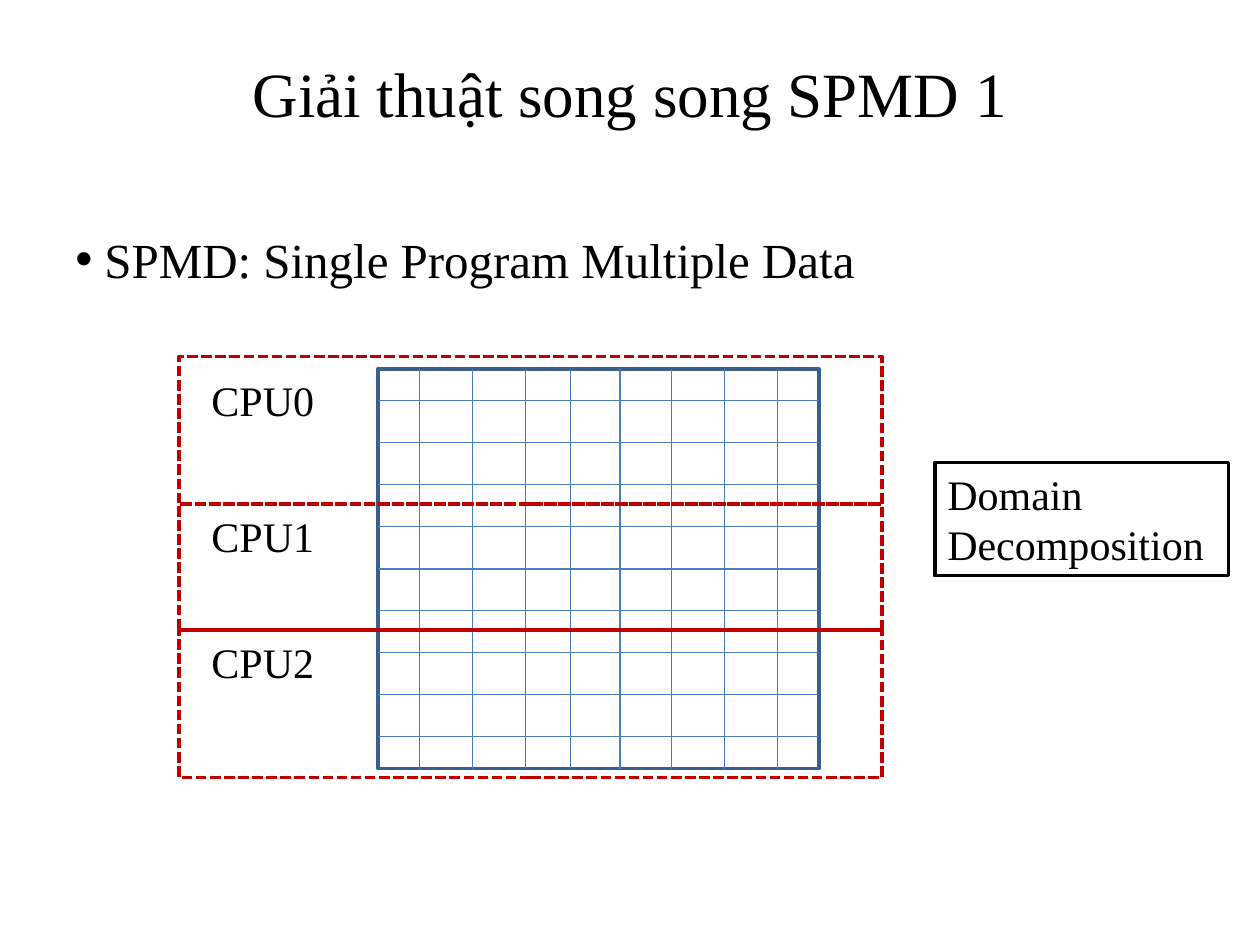
from lxml.etree import SubElement
from pptx import Presentation
from pptx.dml.color import RGBColor
from pptx.enum.dml import MSO_LINE
from pptx.enum.shapes import MSO_CONNECTOR, MSO_SHAPE
from pptx.enum.text import MSO_ANCHOR, PP_ALIGN
from pptx.oxml.ns import qn
from pptx.util import Inches, Pt

BLACK = RGBColor(0x00, 0x00, 0x00)
RED = RGBColor(0xC0, 0x00, 0x00)
BLUE = RGBColor(0x4A, 0x7E, 0xBB)
NAVY = RGBColor(0x3A, 0x5F, 0x8B)
FONT = "Times New Roman"

# Grid frame and its inner lines
LEFT, TOP, WIDE, HIGH = 3, 2.93, 3.5, 3.17
ROWS = [3.18 + i / 3 for i in range(9)]
COLS = [3.33, 3.75, 4.17, 4.53, 4.92, 5.33, 5.75, 6.17]

# Bands: name, top, height
BANDS = [("CPU0", 2.83, 1.17), ("CPU1", 4, 1), ("CPU2", 5, 1.17)]


def add_box(slide, x, y, w, h, color, dash=None):
    box = slide.shapes.add_shape(
        MSO_SHAPE.RECTANGLE, Inches(x), Inches(y), Inches(w), Inches(h))
    box.shadow.inherit = False
    box.fill.background()
    box.line.color.rgb = color
    box.line.width = Pt(2)
    if dash:
        box.line.dash_style = dash
    return box


def add_line(slide, x1, y1, x2, y2):
    line = slide.shapes.add_connector(
        MSO_CONNECTOR.STRAIGHT, Inches(x1), Inches(y1), Inches(x2), Inches(y2))
    line.line.color.rgb = BLUE
    line.line.width = Pt(0.75)
    SubElement(line._element.spPr, qn("a:effectLst"))
    return line


def set_text(shape, text, size=24, align=PP_ALIGN.LEFT,
             anchor=MSO_ANCHOR.TOP, top=0.05, bullet=False):
    frame = shape.text_frame
    frame.word_wrap = True
    frame.vertical_anchor = anchor
    frame.margin_top = Inches(top)
    frame.text = text
    for para in frame.paragraphs:
        para.alignment = align
        font = para.runs[0].font
        font.name, font.size = FONT, Pt(size)
        font.color.rgb = BLACK
        if bullet:
            props = para._p.get_or_add_pPr()
            props.set("marL", str(Inches(0.23)))
            props.set("indent", str(-Inches(0.23)))
            SubElement(props, qn("a:buFont"), typeface="Arial")
            SubElement(props, qn("a:buChar"), char="•")


def add_text(slide, text, x, y, w, h, **style):
    box = slide.shapes.add_textbox(Inches(x), Inches(y), Inches(w), Inches(h))
    set_text(box, text, **style)


def add_grid(slide):
    frame = add_box(slide, LEFT, TOP, WIDE, HIGH, NAVY)
    for i, y in enumerate(ROWS):
        line = add_line(slide, LEFT, y, LEFT + WIDE, y)
        if i == len(ROWS) // 2:  # the middle row meets the side centres
            line.begin_connect(frame, 1)
            line.end_connect(frame, 3)
    for x in COLS:
        add_line(slide, x, TOP, x, TOP + HIGH)


def main():
    deck = Presentation()
    deck.slide_width, deck.slide_height = Inches(10), Inches(7.5)
    slide = deck.slides.add_slide(deck.slide_layouts[6])

    # Heading and bullet
    add_text(slide, "SPMD: Single Program Multiple Data", 0.5, 1.75, 9, 4.95,
             size=28, top=0.07, bullet=True)
    add_text(slide, "Giải thuật song song SPMD 1", 0.5, 0.17, 9, 1.08,
             size=36, align=PP_ALIGN.CENTER, anchor=MSO_ANCHOR.MIDDLE, top=0.1)

    # Data grid, split among the processors
    add_grid(slide)
    for name, y, h in BANDS:
        add_box(slide, 1.42, y, 5.58, h, RED, MSO_LINE.SQUARE_DOT)
    for name, y, h in BANDS:
        add_text(slide, name, 1.58, max(y, 2.92), 1.17, 0.5)

    # Side note
    note = add_box(slide, 7.42, 3.67, 2.33, 0.9, BLACK)
    set_text(note, "Domain\nDecomposition")

    deck.save("out.pptx")


if __name__ == "__main__":
    main()
